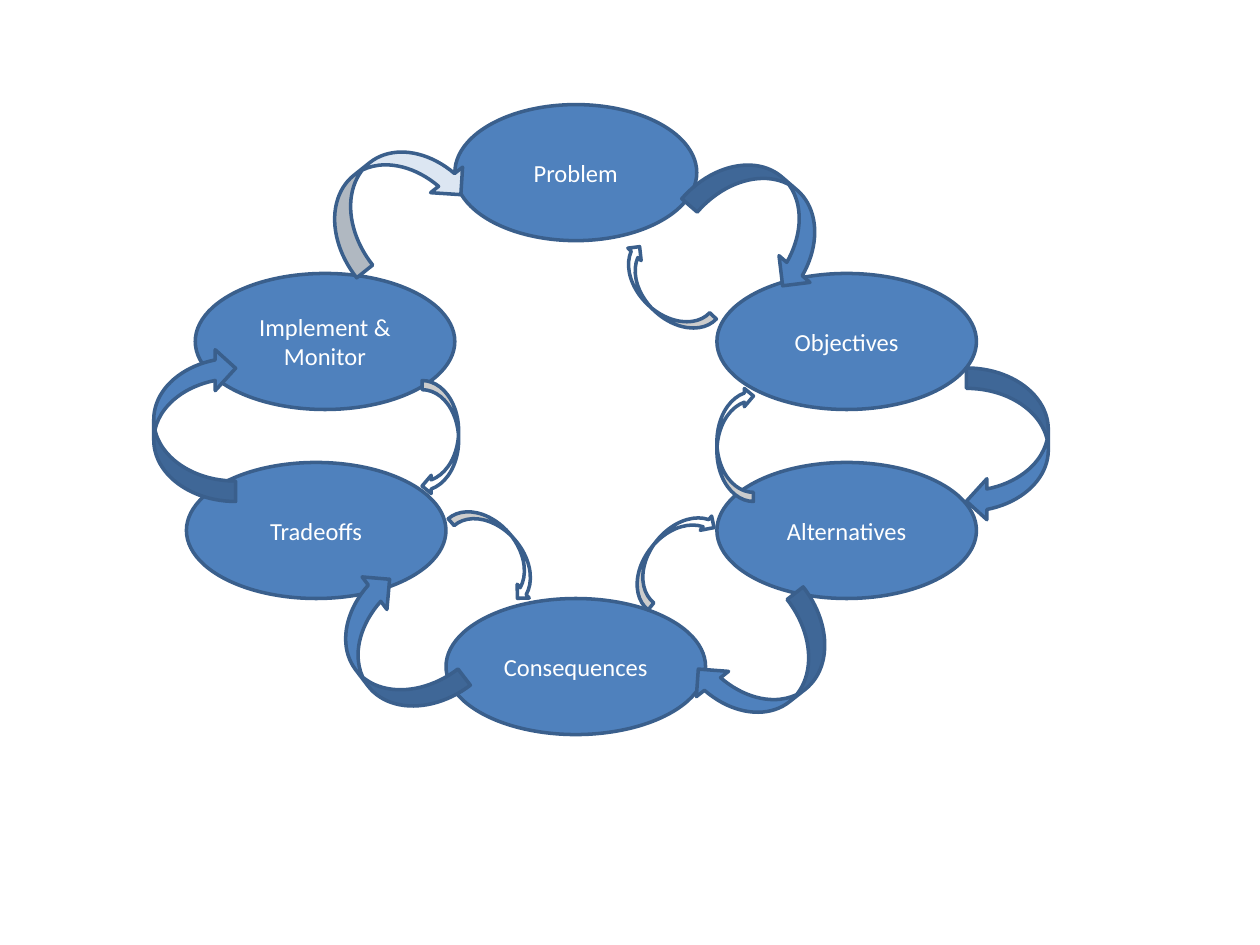
from pptx import Presentation
from pptx.dml.color import RGBColor
from pptx.enum.shapes import MSO_SHAPE as Preset
from pptx.enum.text import MSO_ANCHOR as Anchor, PP_ALIGN as Align
from pptx.util import Inches, Pt

BLUE = RGBColor(0x4F, 0x81, 0xBD)
OUTLINE = RGBColor(0x3A, 0x5F, 0x8C)
PALE = RGBColor(0xDC, 0xE6, 0xF2)
WHITE = RGBColor(0xFF, 0xFF, 0xFF)

# Steps of the cycle: text, left, top, width
STEP_WIDTH, STEP_HEIGHT = 2.06, 1.08
STEPS = [
    ("Problem", 3.61, 0.83, 1.92),
    ("Objectives", 5.69, 2.17, STEP_WIDTH),
    ("Alternatives", 5.69, 3.67, STEP_WIDTH),
    ("Consequences", 3.54, 4.75, STEP_WIDTH),
    ("Tradeoffs", 1.48, 3.67, STEP_WIDTH),
    ("Implement & Monitor", 1.55, 2.17, STEP_WIDTH),
]

# Arrows: left, top, rotation, fill
OUTER_SIZE = (0.65, 1.22)
OUTER_ARROWS = [
    (5.76, 1.12, 310.8, BLUE),
    (7.67, 2.92, 0, BLUE),
    (5.77, 4.68, 51.9, BLUE),
    (2.78, 4.54, 142.7, BLUE),
    (1.22, 2.76, 180, BLUE),
    (2.78, 0.96, 231.4, PALE),
]
INNER_SIZE = (0.29, 0.91)
INNER_ARROWS = [
    (5.11, 1.87, 133.3, WHITE),
    (5.69, 3.07, 180, WHITE),
    (5.17, 3.94, 218.7, WHITE),
    (3.82, 3.91, 319, WHITE),
    (3.35, 3.02, 0, WHITE),
]

presentation = Presentation()
presentation.slide_width, presentation.slide_height = Inches(10), Inches(7.5)
slide = presentation.slides.add_slide(presentation.slide_layouts[6])


def add_outlined(preset, left, top, width, height, fill):
    shape = slide.shapes.add_shape(
        preset, Inches(left), Inches(top), Inches(width), Inches(height))
    shape.shadow.inherit = False
    shape.fill.solid()
    shape.fill.fore_color.rgb = fill
    shape.line.color.rgb = OUTLINE
    shape.line.width = Pt(2)
    return shape


def write_text(shape, text, size=14, font="Calibri", color=WHITE):
    frame = shape.text_frame
    frame.word_wrap = True
    frame.vertical_anchor = Anchor.MIDDLE
    paragraph = frame.paragraphs[0]
    paragraph.alignment = Align.CENTER
    run = paragraph.add_run()
    run.text = text
    run.font.size = Pt(size)
    run.font.name = font
    run.font.color.rgb = color


# Step ellipses
for text, left, top, width in STEPS:
    step = add_outlined(Preset.OVAL, left, top, width, STEP_HEIGHT, BLUE)
    write_text(step, text)

# Outer and inner rings of arrows
for size, arrows in ((OUTER_SIZE, OUTER_ARROWS), (INNER_SIZE, INNER_ARROWS)):
    for left, top, rotation, fill in arrows:
        arrow = add_outlined(Preset.CURVED_LEFT_ARROW, left, top, *size, fill)
        arrow.rotation = rotation

presentation.save("out.pptx")
